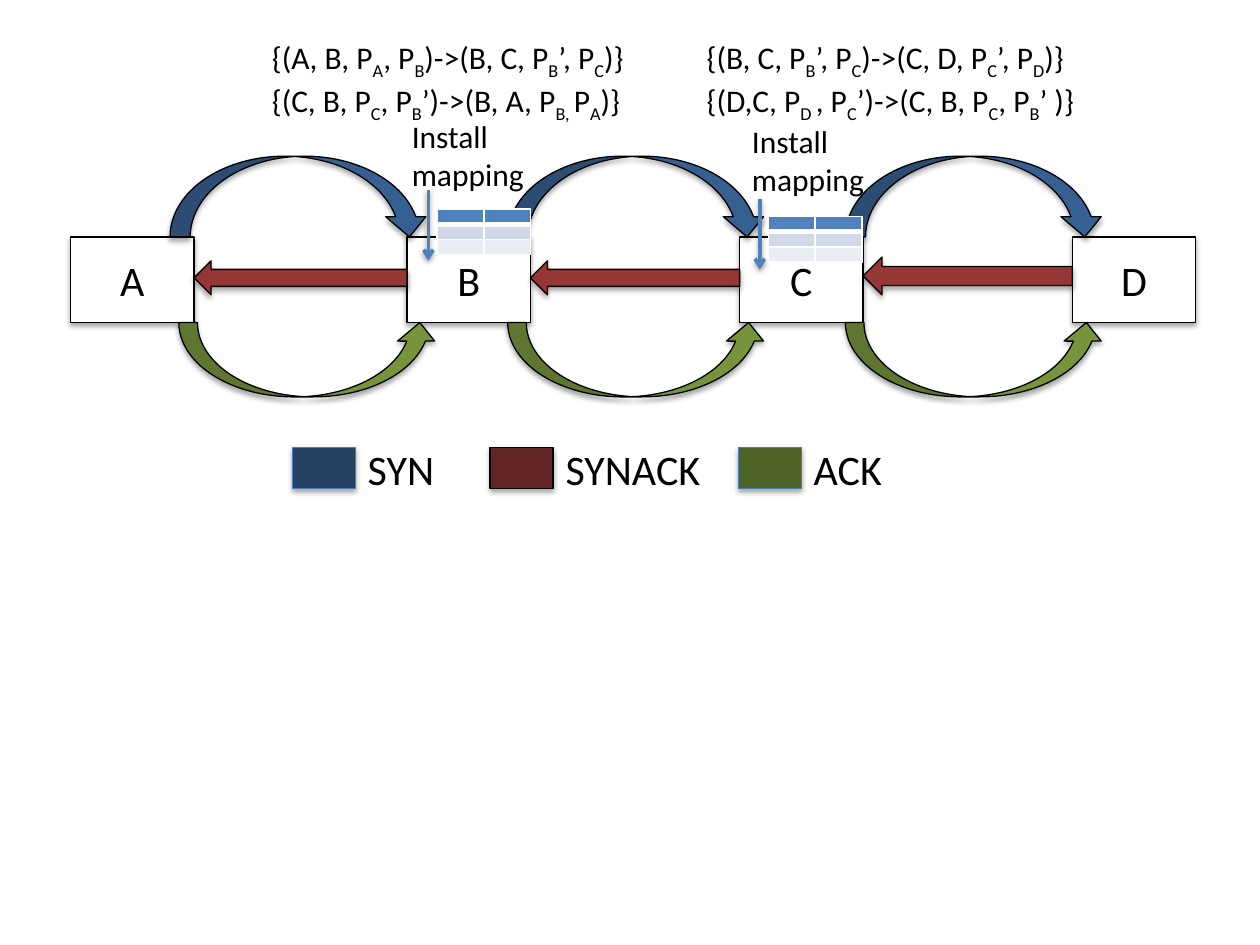
from lxml.etree import SubElement
from pptx import Presentation
from pptx.dml.color import RGBColor
from pptx.enum.shapes import MSO_CONNECTOR, MSO_SHAPE
from pptx.enum.text import MSO_ANCHOR, MSO_AUTO_SIZE, PP_ALIGN
from pptx.oxml.ns import qn
from pptx.util import Inches, Pt

BLACK = RGBColor(0x00, 0x00, 0x00)
WHITE = RGBColor(0xFF, 0xFF, 0xFF)
SYN_BLUE = RGBColor(0x37, 0x60, 0x92)
SYNACK_RED = RGBColor(0x95, 0x37, 0x35)
ACK_GREEN = RGBColor(0x77, 0x93, 0x3C)
KEY_BLUE = RGBColor(0x25, 0x40, 0x61)
KEY_RED = RGBColor(0x63, 0x25, 0x23)
KEY_GREEN = RGBColor(0x4F, 0x62, 0x28)
KEY_LINE = RGBColor(0x4B, 0x7E, 0xBC)
ACCENT = RGBColor(0x4F, 0x81, 0xBD)
ROW_FILLS = [ACCENT, RGBColor(0xD0, 0xD8, 0xE8), RGBColor(0xE9, 0xED, 0xF4)]


def add_color(parent, color):
    return SubElement(parent, qn("a:srgbClr"), val=str(color))


def add_shadow(shape, opacity, distance):
    """Give the shape a soft black shadow that falls straight down."""
    properties = shape.element.spPr
    effects = properties.find(qn("a:effectLst"))
    if effects is None:
        effects = SubElement(properties, qn("a:effectLst"))
    shadow = SubElement(effects, qn("a:outerShdw"), blurRad=str(Pt(3.1)),
                        dist=str(Pt(distance)), dir="5400000", rotWithShape="0")
    SubElement(add_color(shadow, BLACK), qn("a:alpha"), val=str(opacity * 1000))


def write_text(frame, text, size=18, align=PP_ALIGN.LEFT, color=BLACK, font="Calibri"):
    """Write one paragraph per line; parts in square brackets become subscripts."""
    for index, line in enumerate(text.split("\n")):
        paragraph = frame.add_paragraph() if index else frame.paragraphs[0]
        paragraph.alignment = align
        for position, part in enumerate(line.replace("]", "[").split("[")):
            if not part:
                continue
            run = paragraph.add_run()
            run.text = part
            run.font.name, run.font.size = font, Pt(size)
            run.font.color.rgb = color
            if position % 2:
                run.font._element.set("baseline", "-25000")


class Diagram:
    def __init__(self, slide):
        self.slide = slide
        self.line_width = Pt(0.75)

    def shape(self, kind, left, top, width, height, fill, line=BLACK):
        shape = self.slide.shapes.add_shape(
            kind, Inches(left), Inches(top), Inches(width), Inches(height))
        shape.shadow.inherit = False
        shape.fill.solid()
        shape.fill.fore_color.rgb = fill
        shape.line.color.rgb = line
        shape.line.width = self.line_width
        add_shadow(shape, opacity=35, distance=1.8)
        return shape

    def node(self, name, left):
        box = self.shape(MSO_SHAPE.RECTANGLE, left, 1.88, 0.98, 0.68, WHITE)
        box.text_frame.vertical_anchor = MSO_ANCHOR.MIDDLE
        write_text(box.text_frame, name, size=24, align=PP_ALIGN.CENTER)

    def text(self, text, left, top, width, height, wrap=True, size=18):
        box = self.slide.shapes.add_textbox(
            Inches(left), Inches(top), Inches(width), Inches(height))
        box.text_frame.word_wrap = wrap
        box.text_frame.auto_size = MSO_AUTO_SIZE.SHAPE_TO_FIT_TEXT
        write_text(box.text_frame, text, size=size)

    def mapping_table(self, left, top):
        row_height = 0.12
        table = self.slide.shapes.add_table(
            3, 2, Inches(left), Inches(top), Inches(0.74), Inches(3 * row_height)).table
        for row_index, fill in enumerate(ROW_FILLS):
            table.rows[row_index].height = Inches(row_height)
            for cell in table.rows[row_index].cells:
                self.table_cell(cell, fill, row_index)

    def table_cell(self, cell, fill, row_index):
        cell.margin_left = cell.margin_right = cell.margin_top = cell.margin_bottom = 0
        SubElement(cell.text_frame.paragraphs[0]._p, qn("a:endParaRPr"), sz="500")
        properties = cell._tc.get_or_add_tcPr()
        heavy_side = {0: "B", 1: "T"}.get(row_index)
        for side in "LRTB":
            width = Pt(3 if side == heavy_side else 1)
            border = SubElement(properties, qn(f"a:ln{side}"), w=str(width))
            add_color(SubElement(border, qn("a:solidFill")), WHITE)
        cell.fill.solid()
        cell.fill.fore_color.rgb = fill

    def down_arrow(self, x, top, length):
        arrow = self.slide.shapes.add_connector(
            MSO_CONNECTOR.STRAIGHT, Inches(x), Inches(top), Inches(x), Inches(top + length))
        arrow.line.color.rgb = ACCENT
        arrow.line.width = Pt(2)
        SubElement(arrow.element.spPr.find(qn("a:ln")), qn("a:tailEnd"), type="arrow")
        add_shadow(arrow, opacity=38, distance=1.6)


def main():
    presentation = Presentation()
    presentation.slide_width, presentation.slide_height = Inches(10), Inches(7.5)
    diagram = Diagram(presentation.slides.add_slide(presentation.slide_layouts[6]))

    for name, left in zip("ABCD", (0.56, 3.23, 5.87, 8.51)):
        diagram.node(name, left)

    for left in (1.35, 4.03, 6.71):
        diagram.shape(MSO_SHAPE.CURVED_DOWN_ARROW, left, 1.24, 2.06, 0.64, SYN_BLUE)
    for left, top, width, height in ((6.85, 2.04, 1.66, 0.3), (4.21, 2.07, 1.66, 0.27),
                                     (1.54, 2.07, 1.69, 0.27)):
        synack = diagram.shape(MSO_SHAPE.RIGHT_ARROW, left, top, width, height, SYNACK_RED)
        synack.rotation = 180
    for left in (6.71, 4.03, 1.42):
        diagram.shape(MSO_SHAPE.CURVED_UP_ARROW, left, 2.56, 2.06, 0.59, ACK_GREEN)

    key_width = 0.5
    for label, left, label_width, fill, line in (
            ("SYN", 2.32, 0.74, KEY_BLUE, KEY_LINE),
            ("SYNACK", 3.89, 1.29, KEY_RED, BLACK),
            ("ACK", 5.86, 0.75, KEY_GREEN, KEY_LINE)):
        diagram.shape(MSO_SHAPE.RECTANGLE, left, 3.55, key_width, 0.33, fill, line)
        diagram.text(label, left + key_width, 3.47, label_width, 0.5, wrap=False, size=24)

    for table_left, table_top, arrow_x, arrow_top, label_left, label_top in (
            (3.47, 1.66, 3.4, 1.51, 3.17, 0.88),
            (6.1, 1.72, 6.03, 1.58, 5.87, 0.92)):
        diagram.mapping_table(table_left, table_top)
        diagram.down_arrow(arrow_x, arrow_top, 0.56)
        diagram.text("Install\nmapping", label_left, label_top, 1.34, 0.71)

    diagram.text("{(A, B, P[A], P[B])->(B, C, P[B]’, P[C])}\n"
                 "{(C, B, P[C], P[B]’)->(B, A, P[B, ]P[A])}", 2.06, 0.25, 3.17, 0.71)
    diagram.text("{(B, C, P[B]’, P[C])->(C, D, P[C]’, P[D])}\n"
                 "{(D,C, P[D ], P[C]’)->(C, B, P[C], P[B]’ )}", 5.51, 0.25, 3.45, 0.71)

    presentation.save("out.pptx")


if __name__ == "__main__":
    main()
